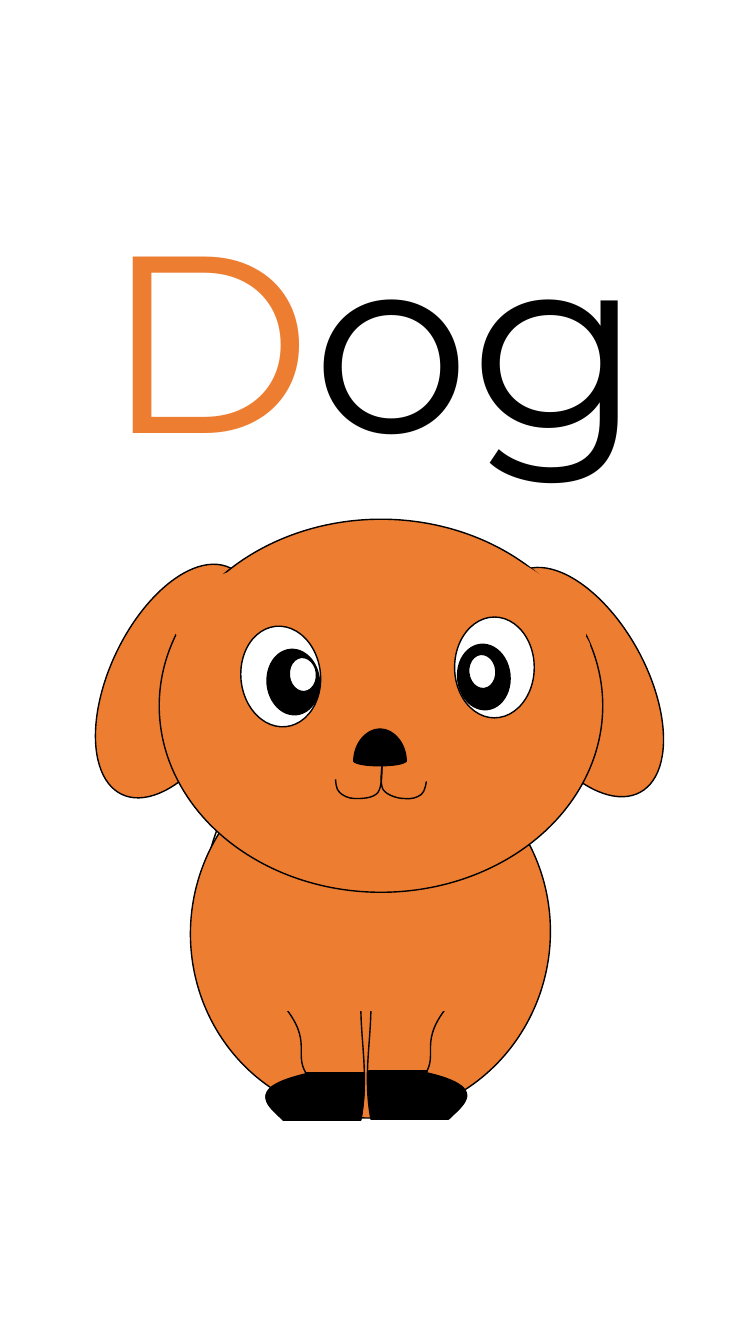
from lxml.etree import SubElement
from pptx import Presentation
from pptx.dml.color import RGBColor
from pptx.enum.shapes import MSO_SHAPE
from pptx.enum.text import MSO_AUTO_SIZE
from pptx.oxml.ns import qn
from pptx.util import Inches, Pt

COLORS = {"fur": "ED7D31", "black": "000000", "white": "FFFFFF", "cream": "FFF2CC"}
WORD = [("D", "fur"), ("og", "black")]
WORD_BOX = (0.94, 1.75, 5.73, 3.13)
CURVE_STEPS = 24

# Outlines: a start point, then lines (x, y) or Bezier curves (three points)
TAIL = [(1.41, 7.41), (1.34, 7.31, 1.78, 6.71, 2.02, 6.7),
        (2.27, 6.68, 2.59, 6.62, 2.85, 7.31), (2.24, 10.06, 3.52, 9.46, 3.65, 10.01),
        (3.34, 10.09, 2.77, 10.21, 2.15, 9.32), (1.8, 8.42, 2.4, 8.04, 2.43, 7.26),
        (2.32, 7.09, 2.26, 7.02, 2.09, 7.05), (1.92, 7.07, 1.62, 7.59, 1.41, 7.41)]
LEG = [(3.58, 9.97), (2.81, 9.97), (3.11, 10.33, 2.91, 10.45, 3.04, 10.65),
       (2.39, 10.8, 2.7, 10.98, 2.81, 11.1), (3.58, 11.1),
       (3.66, 10.67, 3.58, 10.35, 3.58, 9.97)]
PAW = [(3.03, 10.64), (3.61, 10.64), (3.61, 10.66), (3.62, 10.8, 3.61, 10.95, 3.58, 11.11),
       (2.81, 11.11), (2.7, 10.99, 2.39, 10.81, 3.04, 10.66), (3.03, 10.64)]
NOSE = [(4.03, 7.55), (4.03, 7.38, 3.91, 7.23, 3.77, 7.23),
        (3.63, 7.23, 3.51, 7.38, 3.51, 7.55), (3.55, 7.61, 3.98, 7.61, 4.03, 7.55)]
MOUTH_RIGHT = [(3.8, 7.54), (3.78, 7.65, 3.77, 7.77, 3.8, 7.83),
               (3.84, 7.89, 3.95, 7.92, 4.01, 7.92), (4.08, 7.93, 4.14, 7.91, 4.18, 7.88),
               (4.22, 7.85, 4.23, 7.75, 4.23, 7.75)]
MOUTH_LEFT = [(3.79, 7.57), (3.79, 7.68, 3.79, 7.8, 3.75, 7.86),
              (3.7, 7.92, 3.59, 7.92, 3.52, 7.92), (3.46, 7.92, 3.4, 7.89, 3.37, 7.86),
              (3.33, 7.83, 3.33, 7.73, 3.33, 7.73)]


def mirror(outline, axis_sum, drop=0):
    """Reflect left and right, so that old x + new x = axis_sum."""
    return [tuple(round(axis_sum - value if index % 2 == 0 else value + drop, 2)
                  for index, value in enumerate(step)) for step in outline]


# Back to front. Presets: box, rotation, fill, outlined. Outlines: steps, fill.
OVAL, RECTANGLE = MSO_SHAPE.OVAL, MSO_SHAPE.RECTANGLE
EYE, PUPIL, GLINT = (0.79, 1), (0.52, 0.65), (0.27, 0.34)
TILT = -5.7
DOG = [
    (OVAL, (5.1, 5.52, 1.31, 2.49), -28.6, "fur", True),     # right ear
    (TAIL, "cream"),
    (OVAL, (1.89, 7.41, 3.57, 3.68), 6.4, "fur", True),      # body
    (OVAL, (1.09, 5.51, 1.31, 2.49), 25.5, "fur", True),     # left ear
    (OVAL, (1.58, 5.15, 4.4, 3.7), 0, "fur", True),          # head
    (LEG, "fur"),
    (NOSE, "black"),
    (MOUTH_RIGHT, None),
    (MOUTH_LEFT, None),
    (OVAL, (1.7, 5.59, 2.03, 0.97), -6, "fur", False),       # ear joins
    (OVAL, (4.27, 5.59, 1.65, 0.65), 211.3, "fur", False),
    (OVAL, (4.32, 5.84, 1.65, 0.3), 211.3, "fur", False),
    (mirror(LEG, 7.26), "fur"),
    (RECTANGLE, (2.67, 8.97, 1.86, 1.06), 0, "fur", False),  # leg tops
    (PAW, "black"),
    (mirror(PAW, 7.27, -0.02), "black"),
    (OVAL, (4.51, 6.12, *EYE), 0, "white", True),
    (OVAL, (2.39, 6.21, *EYE), TILT, "white", True),
    (OVAL, (2.65, 6.44, *PUPIL), TILT, "black", True),
    (OVAL, (4.54, 6.39, *PUPIL), TILT, "black", True),
    (OVAL, (4.65, 6.49, *GLINT), TILT, "white", True),
    (OVAL, (2.87, 6.52, *GLINT), TILT, "white", True),
]


def color(name):
    return RGBColor.from_string(COLORS[name])


def trace(outline):
    """Sample the outline in EMU, to find its true bounds."""
    points = [outline[0]]
    for step in outline[1:]:
        if len(step) == 2:
            points.append(step)
            continue
        (x0, y0), (x1, y1, x2, y2, x3, y3) = points[-1], step
        for index in range(1, CURVE_STEPS + 1):
            t = index / CURVE_STEPS
            a, b, c, d = (1 - t) ** 3, 3 * t * (1 - t) ** 2, 3 * t * t * (1 - t), t ** 3
            points.append((a * x0 + b * x1 + c * x2 + d * x3,
                           a * y0 + b * y1 + c * y2 + d * y3))
    return [(Inches(x), Inches(y)) for x, y in points]


def set_curves(shape, outline, closed):
    """Replace the sampled path by its lines and Bezier curves."""
    drawn_path = next(shape.element.iter(qn("a:path")))
    for child in list(drawn_path):
        drawn_path.remove(child)
    for index, step in enumerate(outline):
        tag = "a:moveTo" if index == 0 else "a:lnTo" if len(step) == 2 else "a:cubicBezTo"
        command = SubElement(drawn_path, qn(tag))
        for x, y in zip(step[::2], step[1::2]):
            SubElement(command, qn("a:pt"), x=str(Inches(x) - shape.left),
                       y=str(Inches(y) - shape.top))
    if closed:
        SubElement(drawn_path, qn("a:close"))


def style(shape, fill, outlined=True):
    shape.shadow.inherit = False
    if fill:
        shape.fill.solid()
        shape.fill.fore_color.rgb = color(fill)
    else:
        shape.fill.background()
    if outlined:
        shape.line.color.rgb = color("black")
        shape.line.width = Pt(1)
    else:
        shape.line.fill.background()


def add_outline(shapes, outline, fill):
    points = trace(outline)
    builder = shapes.build_freeform(*points[0])
    builder.add_line_segments(points[1:], close=False)
    shape = builder.convert_to_shape()
    set_curves(shape, outline, closed=fill is not None)
    style(shape, fill)


def add_preset(shapes, preset, box, rotation, fill, outlined):
    shape = shapes.add_shape(preset, *map(Inches, box))
    shape.rotation = rotation
    style(shape, fill, outlined)


def add_word(slide):
    frame = slide.shapes.add_textbox(*map(Inches, WORD_BOX)).text_frame
    frame.word_wrap = True
    frame.auto_size = MSO_AUTO_SIZE.SHAPE_TO_FIT_TEXT
    paragraph = frame.paragraphs[0]
    paragraph.font.name = "Montserrat"
    paragraph.font.size = Pt(180)
    for text, name in WORD:
        run = paragraph.add_run()
        run.text = text
        run.font.color.rgb = color(name)


def main():
    presentation = Presentation()
    presentation.slide_width, presentation.slide_height = Inches(7.5), Inches(13.33)
    slide = presentation.slides.add_slide(presentation.slide_layouts[6])
    add_word(slide)
    dog = slide.shapes.add_group_shape()
    for part in DOG:
        add = add_outline if isinstance(part[0], list) else add_preset
        add(dog.shapes, *part)
    presentation.save("out.pptx")


if __name__ == "__main__":
    main()
